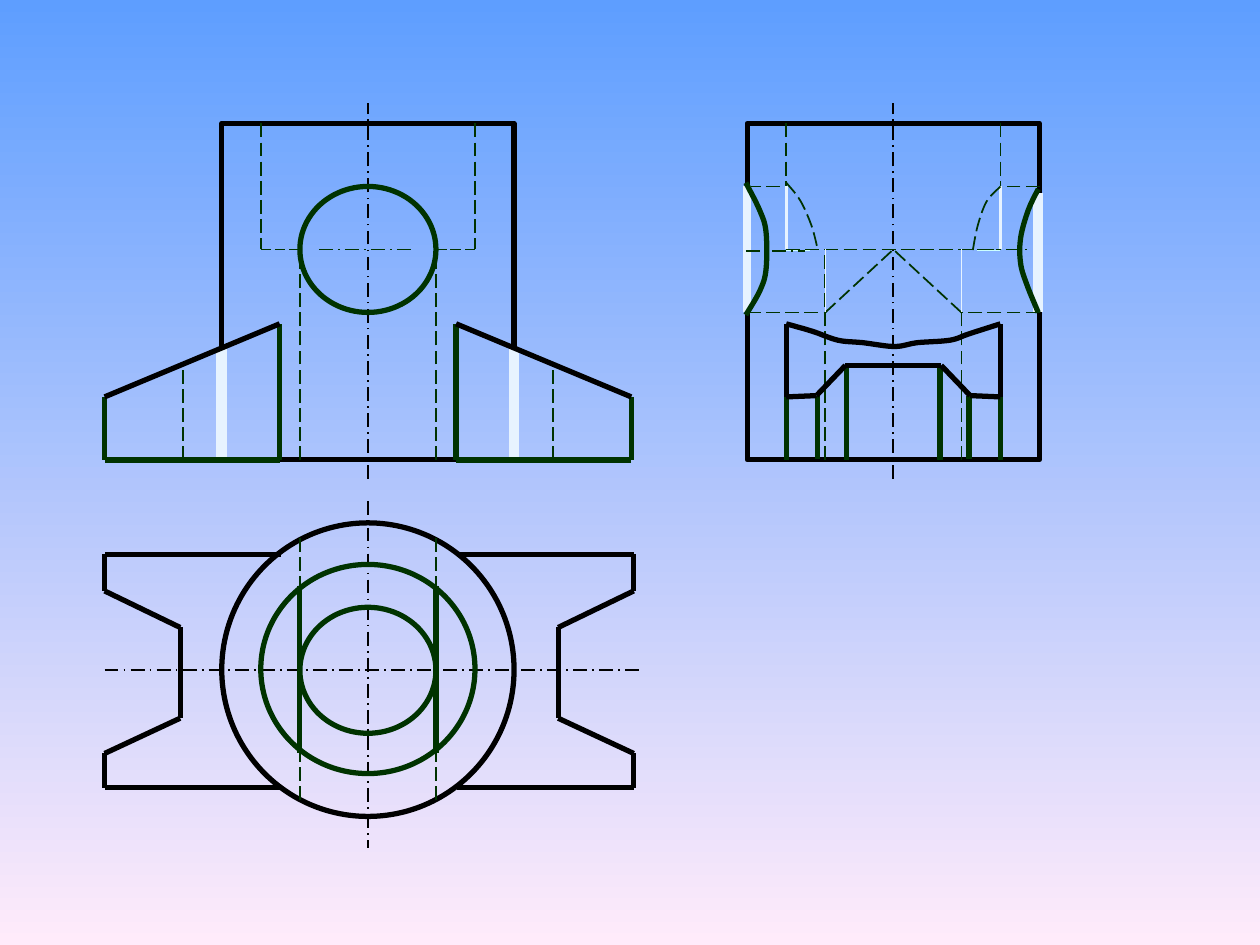
"""Three-view technical drawing of a bored cylinder with two notched wings."""
from lxml import etree
from pptx import Presentation, util as u
from pptx.dml.color import RGBColor
from pptx.enum import dml, shapes
from pptx.oxml.ns import qn

COLORS = {"sky": "5E9EFF", "blush": "FFEBFA", "ink": "000000", "green": "003300",
          "pale": "E7F3FF", "aqua": "CCFFFF"}
DASH = dml.MSO_LINE.LONG_DASH
DASH_DOT = dml.MSO_LINE.LONG_DASH_DOT
STYLES = {
    "axis": ("ink", 1, DASH_DOT), "bore_axis": ("green", 1, DASH_DOT),
    "edge": ("ink", 3, None), "inner": ("green", 3, None),
    "hidden": ("green", 1, DASH), "fine_hidden": ("green", 0.75, DASH),
    "gap": ("pale", 6, None), "side_gap": ("pale", 4.5, None),
    "thin_gap": ("pale", 1.5, None), "hair_gap": ("pale", 0.75, None),
    "aqua_gap": ("aqua", 0.75, None),
}

FRONT_X, WING_X, SIDE_X = 2.92, 2.93, 7.09
RECT, OVAL = shapes.MSO_SHAPE.RECTANGLE, shapes.MSO_SHAPE.OVAL

CENTRE_LINES = [
    ("axis", None, [(0.83, 5.32), (5.08, 5.32)]),
    ("axis", None, [(FRONT_X, 3.98), (FRONT_X, 6.73)]),
    ("axis", None, [(FRONT_X, 3.8), (FRONT_X, 0.82)]),
    ("axis", None, [(SIDE_X, 3.8), (SIDE_X, 0.82)]),
]
OUTLINES = [
    (OVAL, "edge", 1.76, 4.15, 2.32, 2.33),
    (RECT, "edge", 1.76, 0.98, 2.32, 2.67),
    (OVAL, "inner", 2.07, 4.48, 1.7, 1.66),
    (OVAL, "inner", 2.38, 4.82, 1.08, 1),
    (OVAL, "inner", 2.38, 1.48, 1.08, 1),
    (RECT, "edge", 5.93, 0.98, 2.32, 2.67),
]
FRONT_VIEW = [
    ("hidden", FRONT_X, [(2.38, 3.65), (2.38, 1.98)]),
    ("hidden", FRONT_X, [(2.07, 0.98), (2.07, 1.98)]),
    ("fine_hidden", FRONT_X, [(2.07, 1.98), (2.38, 1.98)]),
    ("bore_axis", None, [(2.53, 1.98), (3.3, 1.98)]),
    ("gap", FRONT_X, [(1.76, 2.77), (1.76, 3.65)]),
    ("inner", FRONT_X, [(0.83, 3.15), (0.83, 3.65), (2.22, 3.65), (2.22, 2.57)]),
    ("edge", FRONT_X, [(2.22, 2.57), (0.83, 3.15)]),
    ("hidden", FRONT_X, [(1.45, 3.65), (1.45, 2.9)]),
]
TOP_VIEW = [
    ("hidden", FRONT_X, [(2.38, 4.27), (2.38, 6.36)]),
    ("inner", FRONT_X, [(2.38, 4.65), (2.38, 5.98)]),
    ("edge", WING_X, [(2.23, 4.4), (0.83, 4.4), (0.83, 4.69), (1.43, 4.98),
                      (1.43, 5.7), (0.83, 5.98), (0.83, 6.25), (2.23, 6.25)]),
]
SIDE_VIEW = [
    ("hidden", SIDE_X, [(6.55, 3.65), (6.55, 1.98)]),
    ("hidden", SIDE_X, [(6.24, 0.98), (6.24, 1.98)]),
    ("hidden", None, [(6.24, 1.98), (7.94, 1.98)]),
    ("inner", SIDE_X, [(6.24, 3.15), (6.24, 3.65)]),
    ("inner", SIDE_X, [(6.49, 3.14), (6.49, 3.64)]),
    ("inner", SIDE_X, [(6.72, 2.91), (6.72, 3.65)]),
    ("edge", None, [(6.71, 2.9), (7.47, 2.9)]),
    ("edge", SIDE_X, [(6.71, 2.9), (6.48, 3.14), (6.24, 3.15), (6.24, 2.57)]),
    ("hidden", SIDE_X, [(5.93, 1.48), (6.24, 1.48)]),
    ("hidden", SIDE_X, [(5.93, 2.48), (6.55, 2.48), (SIDE_X, 1.98)]),
    ("side_gap", None, [(5.93, 1.48), (5.93, 2.48)]),
    ("gap", None, [(8.24, 1.53), (8.24, 2.48)]),
    ("thin_gap", SIDE_X, [(6.24, 1.48), (6.24, 1.98)]),
    ("aqua_gap", SIDE_X, [(6.24, 1.99), (6.43, 1.99)]),
    ("hair_gap", SIDE_X, [(6.55, 1.98), (6.55, 2.48)]),
    ("bore_axis", None, [(7.78, 1.98), (8.17, 1.98)]),
    ("bore_axis", None, [(5.92, 1.99), (6.39, 1.99)]),
]
CURVES = [
    ("edge", [(6.24, 2.57), (6.45, 2.63), (6.65, 2.7), (6.85, 2.72), (7.1, 2.75),
              (7.28, 2.72), (7.54, 2.7), (7.69, 2.65), (7.94, 2.57)]),
    ("hidden", [(7.94, 1.48), (7.83, 1.6), (7.76, 1.79), (7.72, 1.99)]),
    ("hidden", [(6.24, 1.45), (6.35, 1.59), (6.44, 1.79), (6.49, 1.98)]),
    ("inner", [(5.92, 1.45), (6.03, 1.67), (6.08, 1.84), (6.08, 2.14),
               (6.03, 2.31), (5.92, 2.5)]),
    ("inner", [(8.24, 1.5), (8.16, 1.67), (8.1, 1.89), (8.1, 2.09),
               (8.15, 2.26), (8.24, 2.48)]),
]


def apply_style(line, style):
    color, width, dash = STYLES[style]
    line.color.rgb = RGBColor.from_string(COLORS[color])
    line.width = u.Pt(width)
    if dash:
        line.dash_style = dash


def draw_lines(slide, strokes):
    for style, axis, points in strokes:
        sides = [points]
        if axis:
            sides.append([(2 * axis - x, y) for x, y in points])
        for side in sides:
            for start, end in zip(side, side[1:]):
                edge = slide.shapes.add_connector(
                    shapes.MSO_CONNECTOR.STRAIGHT, *map(u.Inches, start + end))
                apply_style(edge.line, style)
                etree.SubElement(edge._element.spPr, qn("a:effectLst"))


def finish_outline(outline, style):
    outline.shadow.inherit = False
    outline.fill.background()
    apply_style(outline.line, style)


def smooth(knots, steps=8):
    padded = [knots[0], *knots, knots[-1]]
    points = [knots[0]]
    for a, b, c, d in zip(padded, padded[1:], padded[2:], padded[3:]):
        for step in range(1, steps + 1):
            t = step / steps
            points.append(tuple(
                q + 0.5 * t * (r - p + t * (2 * p - 5 * q + 4 * r - s
                                            + t * (3 * (q - r) + s - p)))
                for p, q, r, s in zip(a, b, c, d)))
    return [(u.Inches(x), u.Inches(y)) for x, y in points]


def main():
    deck = Presentation()
    deck.slide_width, deck.slide_height = u.Inches(10), u.Inches(7.5)
    slide = deck.slides.add_slide(deck.slide_layouts[6])

    backdrop = slide.background.fill
    backdrop.gradient()
    backdrop.gradient_angle = 270
    for stop, position, name in zip(backdrop.gradient_stops, (0, 1), ("sky", "blush")):
        stop.position = position
        stop.color.rgb = RGBColor.from_string(COLORS[name])

    draw_lines(slide, CENTRE_LINES)
    for preset, style, *box in OUTLINES:
        finish_outline(slide.shapes.add_shape(preset, *map(u.Inches, box)), style)
    draw_lines(slide, TOP_VIEW + FRONT_VIEW + SIDE_VIEW)
    for style, knots in CURVES:
        start, *rest = smooth(knots)
        builder = slide.shapes.build_freeform(*start)
        builder.add_line_segments(rest, close=False)
        finish_outline(builder.convert_to_shape(), style)

    deck.save("out.pptx")


if __name__ == "__main__":
    main()
